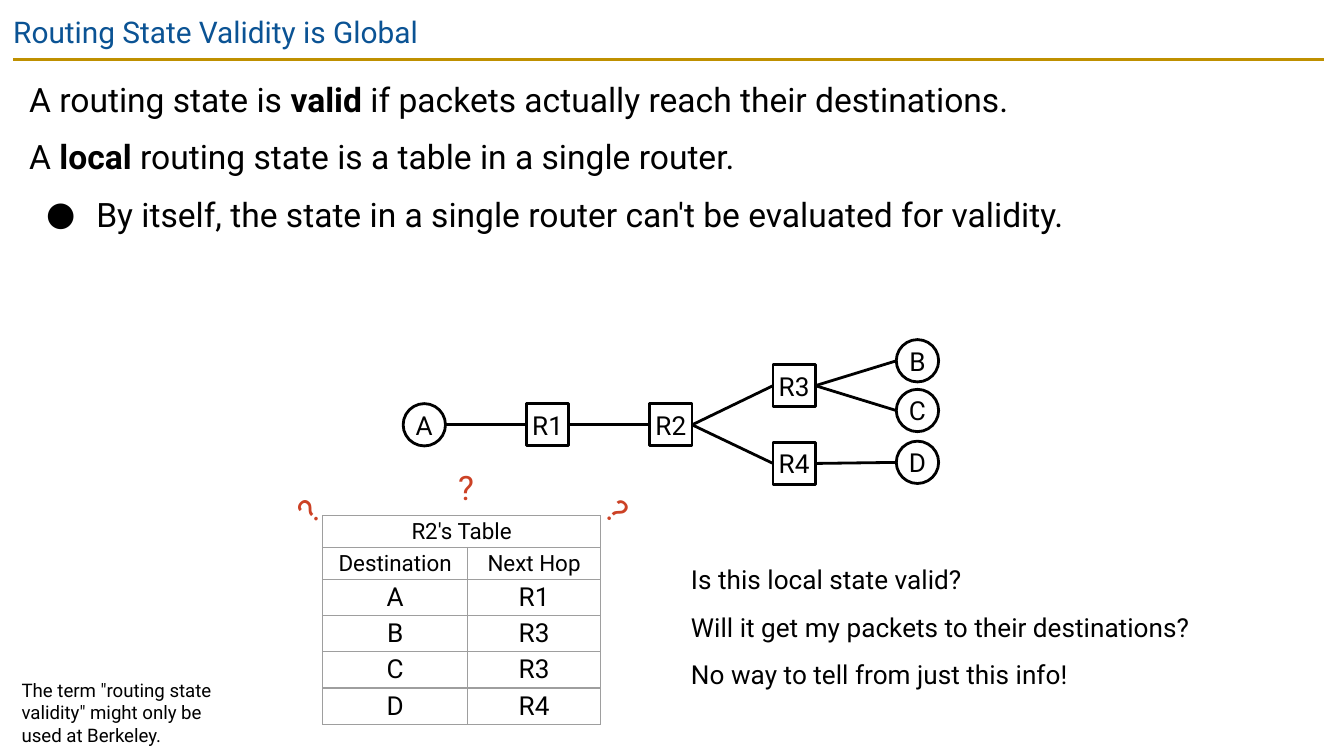
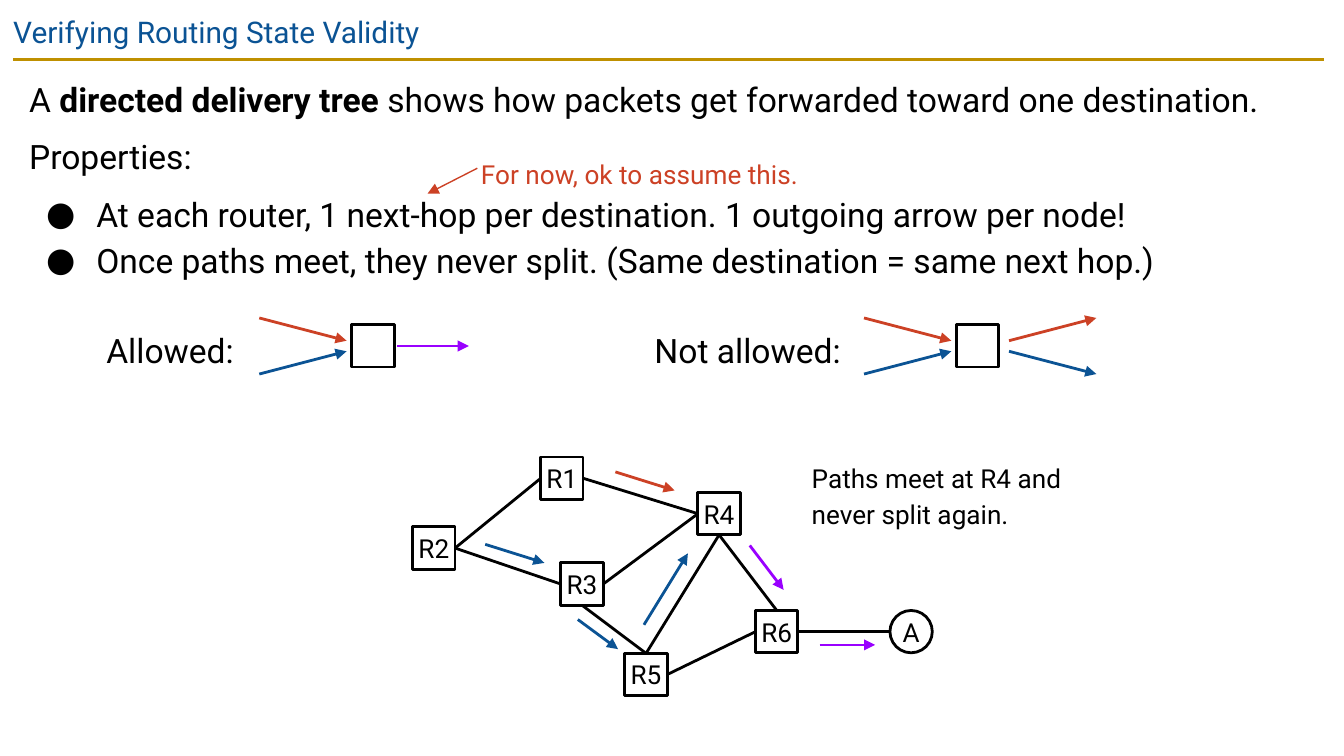
from dataclasses import dataclass

from lxml import etree
from pptx import Presentation
from pptx import util as u
from pptx.dml.color import RGBColor
from pptx.enum import shapes, text
from pptx.oxml.ns import qn


@dataclass(frozen=True)
class Theme:
    font: str = "Roboto"
    black: str = "000000"
    white: str = "FFFFFF"
    blue: str = "0B5394"
    red: str = "CC4125"
    purple: str = "9900FF"
    gold: str = "BF9000"
    grid: str = "9E9E9E"
    title_size: int = 16
    body_size: int = 18
    label_size: int = 14
    header_size: int = 12
    note_size: int = 10
    line_width: float = 1.5
    thin_width: float = 0.75
    spacing: float = 1.15
    gap: int = 6


THEME = Theme()
NODE = 0.8  # side of a router or host, in cm
TOP, LEFT, BOTTOM, RIGHT = range(4)
RECTANGLE = shapes.MSO_SHAPE.RECTANGLE
OVAL = shapes.MSO_SHAPE.OVAL


# Text

def set_bullet(paragraph, bullet):
    properties = paragraph._p.get_or_add_pPr()
    properties.set("marL", str(u.Cm(1.27) if bullet else 0))
    properties.set("indent", str(u.Cm(-0.95) if bullet else 0))
    if not bullet:
        etree.SubElement(properties, qn("a:buNone"))
        return
    color = etree.SubElement(properties, qn("a:buClr"))
    etree.SubElement(color, qn("a:srgbClr"), val=THEME.black)
    etree.SubElement(properties, qn("a:buFont"), typeface=THEME.font)
    etree.SubElement(properties, qn("a:buChar"), char="●")


def write(paragraph, content, size=THEME.label_size, color=THEME.black,
          align=text.PP_ALIGN.LEFT, spacing=1.0, before=0, bullet=False):
    """Fill a paragraph; words between double asterisks are bold."""
    paragraph.alignment = align
    paragraph.line_spacing = spacing
    paragraph.space_before = u.Pt(before)
    set_bullet(paragraph, bullet)
    for index, part in enumerate(content.split("**")):
        run = paragraph.add_run()
        run.text = part
        run.font.name = THEME.font
        run.font.size = u.Pt(size)
        run.font.bold = index % 2 == 1
        run.font.color.rgb = RGBColor.from_string(color)


def set_frame(frame, margin=0, anchor=text.MSO_ANCHOR.TOP):
    frame.word_wrap = True
    frame.auto_size = text.MSO_AUTO_SIZE.NONE
    frame.vertical_anchor = anchor
    frame.margin_left = frame.margin_right = u.Cm(margin)
    frame.margin_top = frame.margin_bottom = u.Cm(margin)


def next_paragraph(frame, index):
    return frame.add_paragraph() if index else frame.paragraphs[0]


def add_label(slide, lines, left, top, width, height, rotation=0,
              spacing=THEME.spacing, **style):
    box = slide.shapes.add_textbox(*map(u.Cm, (left, top, width, height)))
    box.rotation = rotation
    set_frame(box.text_frame)
    for index, line in enumerate(lines):
        write(next_paragraph(box.text_frame, index), line, spacing=spacing,
              before=THEME.gap if index else 0, **style)


# Lines, nodes and links

def add_line(slide, start, end, color=THEME.black, width=THEME.line_width,
             arrow=False):
    line = slide.shapes.add_connector(
        shapes.MSO_CONNECTOR.STRAIGHT, *map(u.Cm, (*start, *end)))
    line.line.color.rgb = RGBColor.from_string(color)
    line.line.width = u.Pt(width)
    properties = line.element.spPr
    if arrow:
        etree.SubElement(properties.find(qn("a:ln")), qn("a:tailEnd"),
                         type="triangle")
    etree.SubElement(properties, qn("a:effectLst"))
    return line


def add_arrow(slide, start, end, color, width=THEME.line_width):
    return add_line(slide, start, end, color, width, arrow=True)


def add_node(slide, name, left, top, outline=RECTANGLE):
    node = slide.shapes.add_shape(
        outline, *map(u.Cm, (left, top, NODE, NODE)))
    node.shadow.inherit = False
    node.fill.solid()
    node.fill.fore_color.rgb = RGBColor.from_string(THEME.white)
    node.line.color.rgb = RGBColor.from_string(THEME.black)
    node.line.width = u.Pt(THEME.line_width)
    set_frame(node.text_frame, anchor=text.MSO_ANCHOR.MIDDLE)
    if name:
        write(node.text_frame.paragraphs[0], name,
              align=text.PP_ALIGN.CENTER)
    return node


def add_nodes(slide, places):
    """Routers (R1, R2, ...) are squares, hosts are circles."""
    return {name: add_node(slide, name, left, top,
                           RECTANGLE if name.startswith("R") else OVAL)
            for name, (left, top) in places.items()}


def side_middle(node, side):
    across, down = {TOP: (0.5, 0), LEFT: (0, 0.5),
                    BOTTOM: (0.5, 1), RIGHT: (1, 0.5)}[side]
    return node.left.cm + across * NODE, node.top.cm + down * NODE


def link(slide, first, second, first_side=RIGHT, second_side=LEFT):
    line = add_line(slide, side_middle(first, first_side),
                    side_middle(second, second_side))
    if first.auto_shape_type == RECTANGLE:
        line.begin_connect(first, first_side)
    if second.auto_shape_type == RECTANGLE:
        line.end_connect(second, second_side)


# Table

def set_borders(cell):
    properties = cell._tc.get_or_add_tcPr()
    for edge in ("a:lnL", "a:lnR", "a:lnT", "a:lnB"):
        border = etree.SubElement(properties, qn(edge),
                                  w=str(u.Pt(THEME.thin_width)))
        fill = etree.SubElement(border, qn("a:solidFill"))
        etree.SubElement(fill, qn("a:srgbClr"), val=THEME.grid)


def add_routing_table(slide, caption, rows, left, top):
    widths = (2.74, 2.51)
    heights = [0.6, 0.6] + [0.68] * (len(rows) - 1)
    table = slide.shapes.add_table(
        len(heights), len(widths),
        *map(u.Cm, (left, top, sum(widths), sum(heights)))).table
    table.first_row = table.horz_banding = False
    for column, width in zip(table.columns, widths):
        column.width = u.Cm(width)
    for row, height in zip(table.rows, heights):
        row.height = u.Cm(height)
    table.cell(0, 0).merge(table.cell(0, 1))
    for row_index, values in enumerate([(caption, ""), *rows]):
        for column_index, value in enumerate(values):
            cell = table.cell(row_index, column_index)
            set_borders(cell)
            cell.fill.background()
            cell.vertical_anchor = text.MSO_ANCHOR.MIDDLE
            cell.margin_left = cell.margin_right = 0
            cell.margin_top = cell.margin_bottom = u.Cm(0.05)
            if value:
                size = THEME.header_size if row_index < 2 else THEME.label_size
                write(cell.text_frame.paragraphs[0], value, size=size,
                      align=text.PP_ALIGN.CENTER)


# Slide frame

def place(shape, left, top, width, height):
    shape.left, shape.top = u.Cm(left), u.Cm(top)
    shape.width, shape.height = u.Cm(width), u.Cm(height)


def add_slide(presentation, title, body):
    """Body lines are (text, is a bullet, space before)."""
    slide = presentation.slides.add_slide(presentation.slide_layouts[1])
    heading, content = slide.placeholders
    place(heading, 0, 0, 25.4, 1.09)
    place(content, 0.3, 1.12, 24.74, 4.6)
    for placeholder in (heading, content):
        set_frame(placeholder.text_frame, margin=0.25)
    write(heading.text_frame.paragraphs[0], title, size=THEME.title_size,
          color=THEME.blue)
    for index, (line, bullet, before) in enumerate(body):
        write(next_paragraph(content.text_frame, index), line,
              size=THEME.body_size, spacing=THEME.spacing, before=before,
              bullet=bullet)
    add_line(slide, (0.25, 1.12), (25.02, 1.12), THEME.gold)
    return slide


# Slide 1

def add_global_validity(presentation):
    slide = add_slide(presentation, "Routing State Validity is Global", [
        ("A routing state is **valid** if packets actually reach their "
         "destinations.", False, 0),
        ("A **local** routing state is a table in a single router.",
         False, THEME.gap),
        ("By itself, the state in a single router can't be evaluated for "
         "validity.", True, THEME.gap),
    ])

    # Network
    columns = [7.62 + 2.33 * step for step in range(5)]
    nodes = add_nodes(slide, {
        "A": (columns[0], 7.63), "R1": (columns[1], 7.63),
        "R2": (columns[2], 7.63), "R3": (columns[3], 6.89),
        "R4": (columns[3], 8.36), "B": (columns[4], 6.42),
        "C": (columns[4], 7.36), "D": (columns[4], 8.34)})
    for first, second in (("A", "R1"), ("R1", "R2"), ("R2", "R3"),
                          ("R2", "R4"), ("R3", "B"), ("R3", "C"),
                          ("R4", "D")):
        link(slide, nodes[first], nodes[second])

    # Routing table with question marks
    add_routing_table(slide, "R2's Table", [
        ("Destination", "Next Hop"),
        ("A", "R1"), ("B", "R3"), ("C", "R3"), ("D", "R4")], 6.1, 9.75)
    for left, top, rotation in ((8.66, 8.71, 0), (5.59, 9.19, 315),
                                (11.61, 9.19, 45)):
        add_label(slide, ["?"], left, top, 0.3, 0.76, rotation,
                  size=THEME.body_size, color=THEME.red)

    # Remarks
    add_label(slide, ["Is this local state valid?",
                      "Will it get my packets to their destinations?",
                      "No way to tell from just this info!"],
              13.06, 10.57, 9.5, 2.41)
    add_label(slide, ['The term "routing state validity" might only be used '
                      'at Berkeley.'], 0.41, 12.83, 3.66, 1.27,
              spacing=1.0, size=THEME.note_size)


# Slide 2

def add_meeting(slide, label, label_left, label_width, box_left, splits):
    """Two paths enter a router and leave together or split."""
    middle, far, near = 6.54, 0.53, 0.1
    add_label(slide, [label], label_left, 6.12, label_width, 0.76,
              size=THEME.body_size)
    add_node(slide, "", box_left, middle - NODE / 2)
    for color, direction in ((THEME.red, -1), (THEME.blue, 1)):
        outer, inner = middle + direction * far, middle + direction * near
        add_arrow(slide, (box_left - 1.75, outer), (box_left - 0.1, inner),
                  color)
        if splits:
            add_arrow(slide, (box_left + 0.99, inner),
                      (box_left + 2.64, outer), color)
    if not splits:
        add_arrow(slide, (box_left + 0.86, middle), (box_left + 2.21, middle),
                  THEME.purple)


def add_verifying(presentation):
    slide = add_slide(presentation, "Verifying Routing State Validity", [
        ("A **directed delivery tree** shows how packets get forwarded "
         "toward one destination.", False, 0),
        ("Properties:", False, THEME.gap),
        ("At each router, 1 next-hop per destination. 1 outgoing arrow per "
         "node!", True, THEME.gap),
        ("Once paths meet, they never split. (Same destination = same next "
         "hop.)", True, 0),
    ])

    # Remarks
    add_arrow(slide, (9.02, 3.18), (8.08, 3.66), THEME.red, THEME.thin_width)
    add_label(slide, ["For now, ok to assume this."], 9.09, 2.9, 6.02, 0.61,
              color=THEME.red)
    add_label(slide, ["Paths meet at R4 and never split again."],
              15.34, 8.66, 4.85, 1.3)

    # Allowed and not allowed
    add_meeting(slide, "Allowed:", 2.01, 2.54, 6.65, splits=False)
    add_meeting(slide, "Not allowed:", 12.37, 3.61, 18.08, splits=True)

    # Network
    nodes = add_nodes(slide, {
        "R2": (7.8, 9.96), "R1": (10.22, 8.64), "R3": (10.6, 10.64),
        "R4": (13.19, 9.31), "R5": (11.81, 12.35), "R6": (14.28, 11.54),
        "A": (16.82, 11.54)})
    for first, second, *sides in (
            ("R2", "R1"), ("R1", "R4"), ("R4", "R6", BOTTOM, TOP),
            ("R6", "A"), ("R5", "R6"), ("R5", "R4", TOP, BOTTOM),
            ("R3", "R5", BOTTOM, TOP), ("R3", "R4"), ("R2", "R3")):
        link(slide, nodes[first], nodes[second], *sides)

    # Packet paths
    for start, end, color in (
            ((9.17, 10.29), (10.29, 10.64), THEME.blue),
            ((10.92, 11.71), (11.68, 12.27), THEME.blue),
            ((11.63, 8.92), (12.75, 9.27), THEME.red),
            ((12.17, 11.81), (13, 10.46), THEME.blue),
            ((14.17, 10.31), (14.81, 11.15), THEME.purple),
            ((15.49, 12.19), (16.54, 12.19), THEME.purple)):
        add_arrow(slide, start, end, color)


def main():
    presentation = Presentation()
    presentation.slide_width = u.Cm(25.4)
    presentation.slide_height = u.Cm(14.29)
    add_global_validity(presentation)
    add_verifying(presentation)
    presentation.save("out.pptx")


if __name__ == "__main__":
    main()
